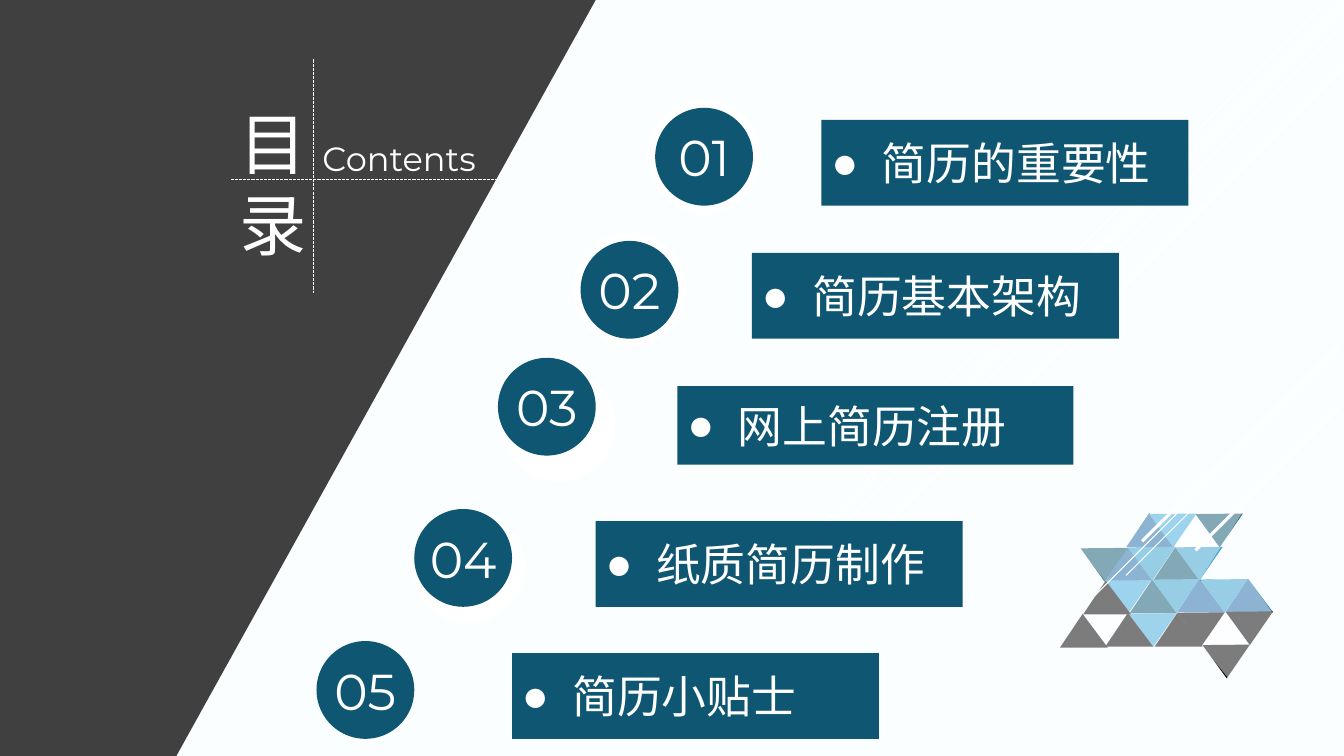
from lxml.etree import SubElement
from pptx import Presentation
from pptx.dml.color import RGBColor
from pptx.enum.dml import MSO_LINE
from pptx.enum.shapes import MSO_CONNECTOR, MSO_SHAPE
from pptx.enum.text import MSO_ANCHOR, PP_ALIGN
from pptx.oxml.ns import qn
from pptx.util import Inches, Pt

CELL = 0.1
COLUMNS, ROWS = 133.33, 75

PAPER = RGBColor(0xFB, 0xFE, 0xFF)
WHITE = RGBColor(0xFF, 0xFF, 0xFF)
BLACK = RGBColor(0x00, 0x00, 0x00)
CHARCOAL = RGBColor(0x40, 0x40, 0x40)
TEAL = RGBColor(0x0E, 0x56, 0x71)
BLUE = RGBColor(0x1F, 0x6B, 0xA5)
SKY = RGBColor(0x34, 0x9F, 0xCD)
LIGHT_SKY = RGBColor(0x40, 0xAB, 0xDB)

LATIN = "Montserrat"
TITLE_FONT = "Noto Sans CJK SC"
ITEM_FONT = "Noto Sans CJK JP"

STRIPES = [
    ((132.8, 32.4), (122.6, 42.6), 0.75),
    ((132.8, 34.9), (99.6, 68.1), 0.75),
    ((132.8, 36), (111.7, 57.1), 0.75),
    ((132.8, 34.3), (113.3, 53.7), 2.25),
    ((132.8, 40.4), (118.6, 54.6), 2.25),
    ((131.6, 0.1), (90, 41.8), 1),
    ((133.3, 1), (66.8, 67.5), 1),
    ((133.3, 2.5), (79.1, 56.7), 1),
    ((133.3, 0.4), (80.2, 53.4), 2.5),
    ((133.3, 6.7), (85.8, 54.2), 2.5),
]

UP = ((0, 0), (2.5, 3.35), (-2.25, 3.35))
DOWN = ((0, 0), (-2.4, -3.3), (2.3, -3.35))
MOSAIC = [
    (BLUE, UP, [(114, 50.9), (111.9, 54.3), (123.8, 57.4), (119, 57.4)]),
    (TEAL, UP, [(116.6, 54.3), (114.3, 57.5)]),
    (TEAL, DOWN, [(121, 54.3), (109.6, 57.7)]),
    (LIGHT_SKY, DOWN, [(116.4, 54.3), (111.9, 60.9), (114.4, 64.2)]),
    (SKY, DOWN, [(119, 57.6), (114.3, 57.6), (121.5, 60.8), (116.7, 60.8)]),
    (BLACK, DOWN, [(124, 64), (119.2, 64.1), (121.7, 67.3)]),
    (BLACK, UP, [(116.8, 60.8), (109.7, 57.6), (107.4, 60.9), (111.9, 60.8)]),
]
VEIL = [(111.8, 54.2), (113.5, 51), (123.4, 50.6), (119, 57.6), (123.7, 57.2),
        (126.3, 60.9), (121.8, 67.2), (119.4, 64.3), (104.8, 64.4),
        (109.6, 57.6), (107, 54.3)]
DARK_SIDE = [(-0.4, 0), (59.1, 0), (17.5, ROWS), (-0.4, ROWS)]

BADGE, HALO = 9.7, 11.3
HALOS = [(64.2, 9.9), (56.8, 23.1), (49.7, 36.5), (40.8, 50.5)]
BADGES = [(65, 10.7), (57.6, 23.9), (49.4, 35.5), (41.1, 50.5), (31.4, 63.6)]
ITEMS = [
    ("简历的重要性", (81.5, 11.9, 36.4, 8.5)),
    ("简历基本架构", (74.6, 25.1, 36.4, 8.5)),
    ("网上简历注册", (67.2, 38.3, 39.3, 7.8)),
    ("纸质简历制作", (59.1, 51.7, 36.4, 8.5)),
    ("简历小贴士", (50.8, 64.8, 36.4, 8.5)),
]


def cells(*counts):
    return [Inches(count * CELL) for count in counts]


def paint(shape, color, opacity=None):
    shape.shadow.inherit = False
    shape.fill.solid()
    shape.fill.fore_color.rgb = color
    shape.line.fill.background()
    if opacity is not None:
        tint = shape.fill._xPr.find(qn("a:solidFill"))[0]
        SubElement(tint, qn("a:alpha"), val=str(opacity * 1000))
    return shape


def add_block(page, kind, area, color, opacity=None):
    return paint(page.shapes.add_shape(kind, *cells(*area)), color, opacity)


def add_outline(page, points, color, opacity=None):
    corners = [cells(*point) for point in points]
    builder = page.shapes.build_freeform(*corners[0], scale=1.0)
    builder.add_line_segments(corners[1:], close=True)
    return paint(builder.convert_to_shape(), color, opacity)


def add_rule(page, start, end, weight, dash=None):
    rule = page.shapes.add_connector(
        MSO_CONNECTOR.STRAIGHT, *cells(*start), *cells(*end))
    rule.line.color.rgb = WHITE
    rule.line.width = Pt(weight)
    if dash is not None:
        rule.line.dash_style = dash
    SubElement(rule.line._ln.getparent(), qn("a:effectLst"))


def write(shape, text, *, size, font, align, anchor=MSO_ANCHOR.MIDDLE,
          inset=None, spacing=None, bullet=None):
    frame = shape.text_frame
    frame.word_wrap = True
    frame.vertical_anchor = anchor
    if inset is not None:
        frame.margin_left = frame.margin_right = inset
        frame.margin_top = frame.margin_bottom = inset
    para = frame.paragraphs[0]
    para.alignment = align
    if spacing is not None:
        para.line_spacing = Pt(spacing)
    span = para.add_run()
    span.text = text
    span.font.size = Pt(size)
    span.font.name = font
    span.font.color.rgb = WHITE
    SubElement(span.font._element, qn("a:ea"), typeface=font)
    if bullet is not None:
        properties = para._p.get_or_add_pPr()
        properties.set("marL", str(Inches(0.5)))
        properties.set("indent", str(-Inches(0.5)))
        SubElement(properties, qn("a:buFont"), typeface="Arial")
        SubElement(properties, qn("a:buChar"), char=bullet)


def add_mosaic(page):
    for color, triangle, tips in MOSAIC:
        for column, row in tips:
            add_outline(page, [(column + x, row + y) for x, y in triangle], color)


def add_heading(page):
    add_outline(page, DARK_SIDE, CHARCOAL)
    label = page.shapes.add_textbox(*cells(31, 13.2, 19.8, 5))
    write(label, "Contents", size=24, font=LATIN, align=PP_ALIGN.JUSTIFY,
          anchor=MSO_ANCHOR.TOP)
    title = page.shapes.add_textbox(*cells(19.7, 9.7, 14.7, 17.2))
    write(title, "目录", size=48, font=TITLE_FONT, align=PP_ALIGN.CENTER,
          anchor=MSO_ANCHOR.TOP, spacing=57.6)
    add_rule(page, (22.9, 17.8), (49.5, 17.8), 0.75, MSO_LINE.SQUARE_DOT)
    add_rule(page, (31.1, 5.9), (31.1, 29.1), 0.75, MSO_LINE.SQUARE_DOT)


def add_contents(page):
    for corner in HALOS:
        add_block(page, MSO_SHAPE.OVAL, (*corner, HALO, HALO), WHITE)
    for number, (corner, (text, area)) in enumerate(zip(BADGES, ITEMS), 1):
        badge = add_block(page, MSO_SHAPE.OVAL, (*corner, BADGE, BADGE), TEAL)
        write(badge, f"{number:02}", size=36, font=LATIN,
              align=PP_ALIGN.CENTER, inset=0)
        bar = add_block(page, MSO_SHAPE.RECTANGLE, area, TEAL)
        write(bar, text, size=32, font=ITEM_FONT, align=PP_ALIGN.LEFT, bullet="●")


def main():
    deck = Presentation()
    deck.slide_width, deck.slide_height = cells(COLUMNS, ROWS)
    page = deck.slides.add_slide(deck.slide_layouts[6])
    page.background.fill.solid()
    page.background.fill.fore_color.rgb = PAPER
    add_mosaic(page)
    for start, end, weight in STRIPES:
        add_rule(page, start, end, weight)
    add_block(page, MSO_SHAPE.RECTANGLE, (0, 0, COLUMNS, ROWS), WHITE, opacity=9)
    add_outline(page, VEIL, WHITE, opacity=44)
    add_heading(page)
    add_contents(page)
    deck.save("out.pptx")


if __name__ == "__main__":
    main()
